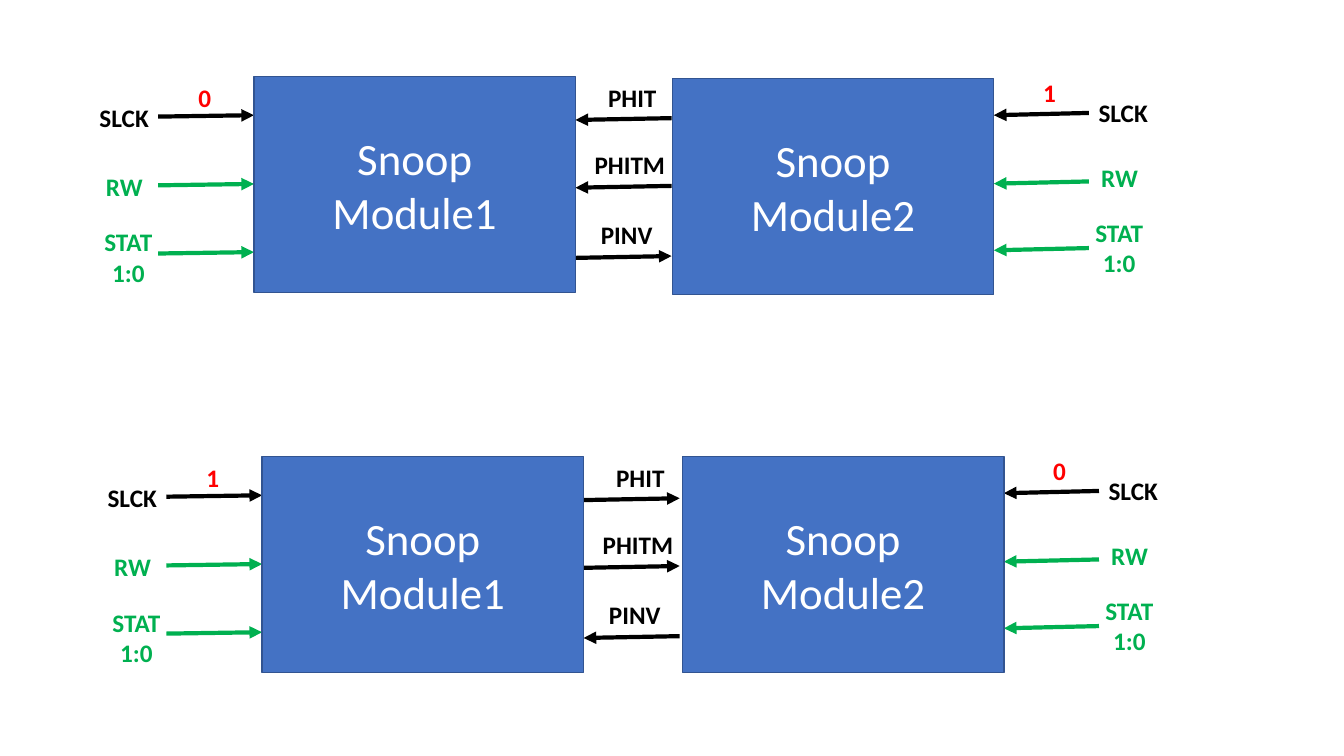
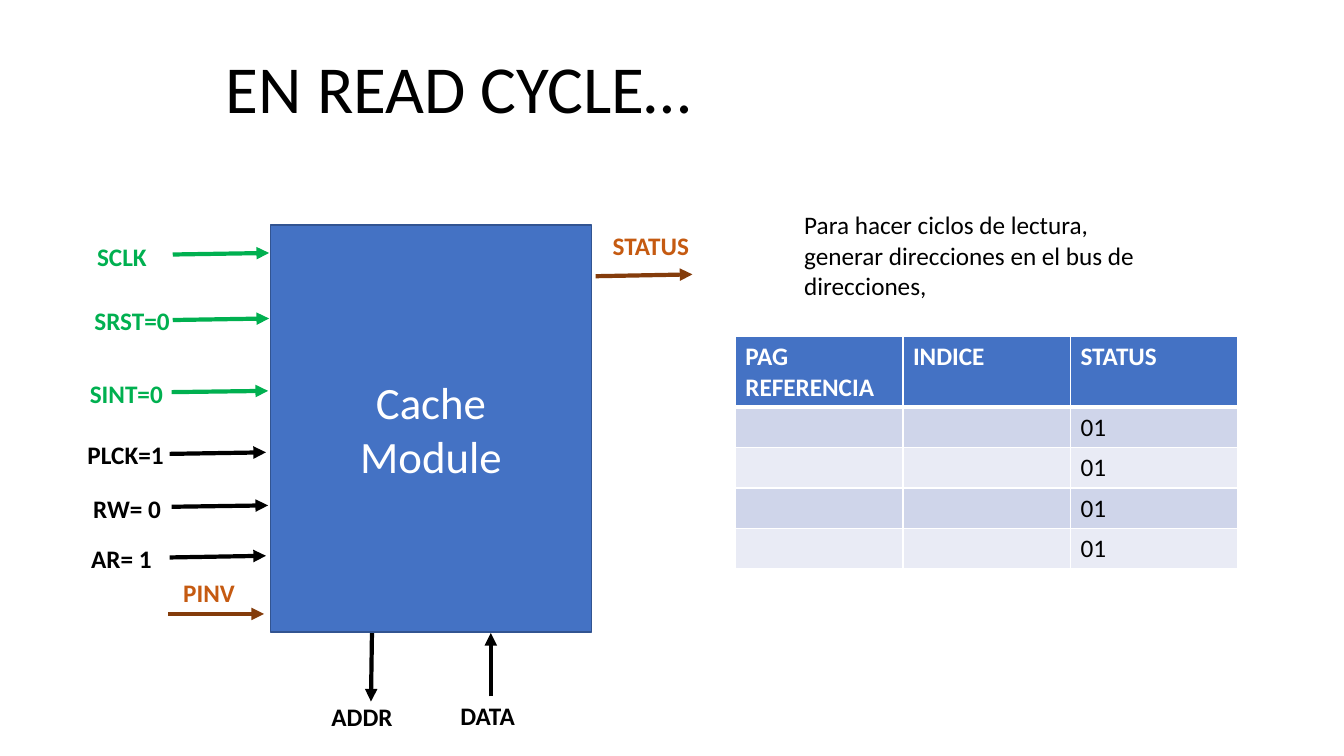
from dataclasses import dataclass

from lxml.etree import SubElement
from pptx import Presentation
from pptx.dml.color import RGBColor
from pptx.enum.shapes import MSO_CONNECTOR, MSO_SHAPE
from pptx.enum.text import MSO_ANCHOR, MSO_AUTO_SIZE, PP_ALIGN
from pptx.oxml.ns import qn
from pptx.util import Pt


@dataclass(frozen=True)
class Theme:
    font: str = "Calibri"
    title: int = 48
    module: int = 32
    text: int = 18
    black: str = "000000"
    white: str = "FFFFFF"
    blue: str = "4472C4"
    edge: str = "325491"
    green: str = "00B050"
    red: str = "FF0000"
    orange: str = "C55A11"
    brown: str = "843C0B"
    bands: tuple = ("CFD5EA", "E9EBF5")


T = Theme()
LEFT, CENTER = PP_ALIGN.LEFT, PP_ALIGN.CENTER


def write(tf, text, size=T.text, color=T.black, bold=False, align=LEFT):
    tf.word_wrap = True
    for i, line in enumerate(text.split("\n")):
        p = tf.paragraphs[0] if i == 0 else tf.add_paragraph()
        p.alignment = align
        r = p.add_run()
        r.text = line
        r.font.name, r.font.size, r.font.bold = T.font, Pt(size), bold
        r.font.color.rgb = RGBColor.from_string(color)


def arrow(s, x1, y1, x2, y2, color=T.black):
    c = s.shapes.add_connector(MSO_CONNECTOR.STRAIGHT, Pt(x1), Pt(y1), Pt(x2), Pt(y2))
    c.line.width = Pt(3)
    c.line.color.rgb = RGBColor.from_string(color)
    SubElement(c.line._get_or_add_ln(), qn("a:tailEnd"), type="triangle")
    SubElement(c._element.spPr, qn("a:effectLst"))


prs = Presentation()
prs.slide_width, prs.slide_height = Pt(960), Pt(540)
snoop = prs.slides.add_slide(prs.slide_layouts[6])
cache = prs.slides.add_slide(prs.slide_layouts[5])

MODULE_W, SNOOP_H = 229.7, 154.1
modules = []  # slide, text, left, top, height
labels = []   # slide, text, left, top, width, height, colour, alignment

# Slide 1: two pairs of snoop modules
# Each pair: corners of both modules, their clock bits, and whether the hit lines run right
pairs = [
    ((181.4, 54.7), (480.2, 56.2), "01", False),
    ((187.2, 326.2), (487.4, 326.2), "10", True),
]
# Inputs: text, colour, label height, alignment,
# left label x, y and arrow y, right label x, y and arrow y
inputs = [
    ("SLCK", T.black, 28.8, LEFT, -117.4, 15.1, 28.6, 297.4, 10.1, 24.5),
    ("RW", T.green, 28.8, CENTER, -120.2, 64.1, 77.7, 291.8, 56.5, 73.4),
    ("STAT\n1:0", T.green, 51.1, CENTER, -117.4, 103.7, 126.4, 291.6, 95.4, 121),
]
# Links between modules: text, label x, y and width, arrow y, follows the hit direction
links = [
    ("PHIT", 245.8, 0.7, 56.2, 31, True),
    ("PHITM", 236.2, 48.3, 75.6, 79.4, True),
    ("PINV", 240.7, 98.3, 75.6, 129.5, False),
]
for (x1, y1), (x2, y2), bits, hits_right in pairs:
    modules += [(snoop, "Snoop\nModule1", x1, y1, SNOOP_H),
                (snoop, "Snoop\nModule2", x2, y2, SNOOP_H)]
    labels += [(snoop, bits[0], x1 - 46.8, y1 + 0.7, 24, 28.8, T.red, LEFT),
               (snoop, bits[1], x2 + 257.8, y2 - 4.3, 24, 28.8, T.red, LEFT)]
    for text, color, h, align, lx, ly, la, rx, ry, ra in inputs:
        labels += [(snoop, text, x1 + lx, y1 + ly, 55.4, h, color, align),
                   (snoop, text, x2 + rx, y2 + ry, 55.4, h, color, align)]
        arrow(snoop, x1 - 68.4, y1 + la, x1, y1 + la - 1, color)
        arrow(snoop, x2 + 297.6, y2 + ra, x2 + MODULE_W, y2 + ra + 1.6, color)
    for text, lx, ly, w, a, is_hit in links:
        labels.append((snoop, text, x1 + lx, y1 + ly, w, 28.8, T.black, LEFT))
        ends = [(x1 + MODULE_W, y1 + a), (x1 + 298.3, y1 + a - 1.3)]
        start, end = ends if is_hit == hits_right else ends[::-1]
        arrow(snoop, *start, *end)

# Slide 2: title
title = cache.shapes.title
title.left, title.top, title.width, title.height = Pt(154.1), Pt(29.5), Pt(413.3), Pt(65.5)
title.text_frame.auto_size = MSO_AUTO_SIZE.NONE
title.text_frame.vertical_anchor = MSO_ANCHOR.TOP
write(title.text_frame, "EN READ CYCLE…", T.title)

# Slide 2: cache module and its signals
modules.append((cache, "Cache\nModule", 193, 160.6, 290.9))
# Signals: text, label box left, top and width, alignment, label colour, arrow, arrow colour
signals = [
    ("SCLK", 47.5, 168.5, 79.2, CENTER, T.green, (123.4, 181.8, 192.2, 180.7), T.green),
    ("SRST=0", 55.4, 214.6, 77.8, CENTER, T.green, (123.4, 228.6, 192.2, 227.5), T.green),
    ("SINT=0", 48.2, 266.4, 84.2, CENTER, T.green, (122.6, 280.1, 191.5, 279.2), T.green),
    ("PLCK=1", 55.4, 310.3, 72.7, LEFT, T.black, (121.2, 324.2, 190, 323.1), T.black),
    ("RW= 0", 59.5, 348.5, 75, LEFT, T.black, (122.6, 362, 191.5, 361), T.black),
    ("AR= 1", 58.1, 384.5, 75, LEFT, T.black, (121.2, 398.2, 190, 397), T.black),
    ("PINV", 123.8, 409, 56.2, LEFT, T.orange, (120.2, 438.5, 188.6, 438.5), T.brown),
    ("STATUS", 430.6, 161.3, 74.9, LEFT, T.orange, (425.5, 197.3, 494.6, 196), T.brown),
    ("ADDR", 229.7, 497.5, 75.6, LEFT, T.black, (265.7, 452.2, 265, 501.1), T.black),
    ("DATA", 321.8, 496.8, 75.6, LEFT, T.black, (350.6, 497.5, 350.6, 452.2), T.black),
]
for text, x, y, w, align, color, ends, arrow_color in signals:
    labels.append((cache, text, x, y, w, 28.8, color, align))
    arrow(cache, *ends, arrow_color)

# Slide 2: explanation
note = cache.shapes.add_textbox(Pt(567.4), Pt(146.2), Pt(263.5), Pt(72.7))
write(note.text_frame, "Para hacer ciclos de lectura, generar direcciones en el bus de direcciones,")

# Slide 2: status table
rows = [("PAG REFERENCIA", "INDICE", "STATUS")] + [("", "", "01")] * 4
table = cache.shapes.add_table(5, 3, Pt(525.3), Pt(240.5), Pt(359.1), Pt(165.6)).table
for col in table.columns:
    col.width = Pt(119.7)
for i, values in enumerate(rows):
    header = i == 0
    table.rows[i].height = Pt(50.4 if header else 28.8)
    for j, value in enumerate(values):
        cell = table.cell(i, j)
        tcPr = cell._tc.get_or_add_tcPr()
        widths = {"L": 1, "R": 1, "T": 3 if i == 1 else 1, "B": 3 if header else 1}
        for side, width in widths.items():
            ln = SubElement(tcPr, qn("a:ln" + side), w=str(Pt(width)))
            SubElement(SubElement(ln, qn("a:solidFill")), qn("a:srgbClr"), val=T.white)
        cell.fill.solid()
        cell.fill.fore_color.rgb = RGBColor.from_string(T.blue if header else T.bands[(i - 1) % 2])
        if value:
            write(cell.text_frame, value, color=T.white if header else T.black, bold=header)

# Module boxes of both slides
for s, text, x, y, h in modules:
    sp = s.shapes.add_shape(MSO_SHAPE.RECTANGLE, Pt(x), Pt(y), Pt(MODULE_W), Pt(h))
    sp.shadow.inherit = False
    sp.fill.solid()
    sp.fill.fore_color.rgb = RGBColor.from_string(T.blue)
    sp.line.color.rgb = RGBColor.from_string(T.edge)
    sp.line.width = Pt(1)
    sp.text_frame.vertical_anchor = MSO_ANCHOR.MIDDLE
    write(sp.text_frame, text, T.module, T.white, align=CENTER)

# Signal labels of both slides
for s, text, x, y, w, h, color, align in labels:
    sp = s.shapes.add_textbox(Pt(x), Pt(y), Pt(w), Pt(h))
    write(sp.text_frame, text, color=color, bold=True, align=align)

prs.save("out.pptx")
